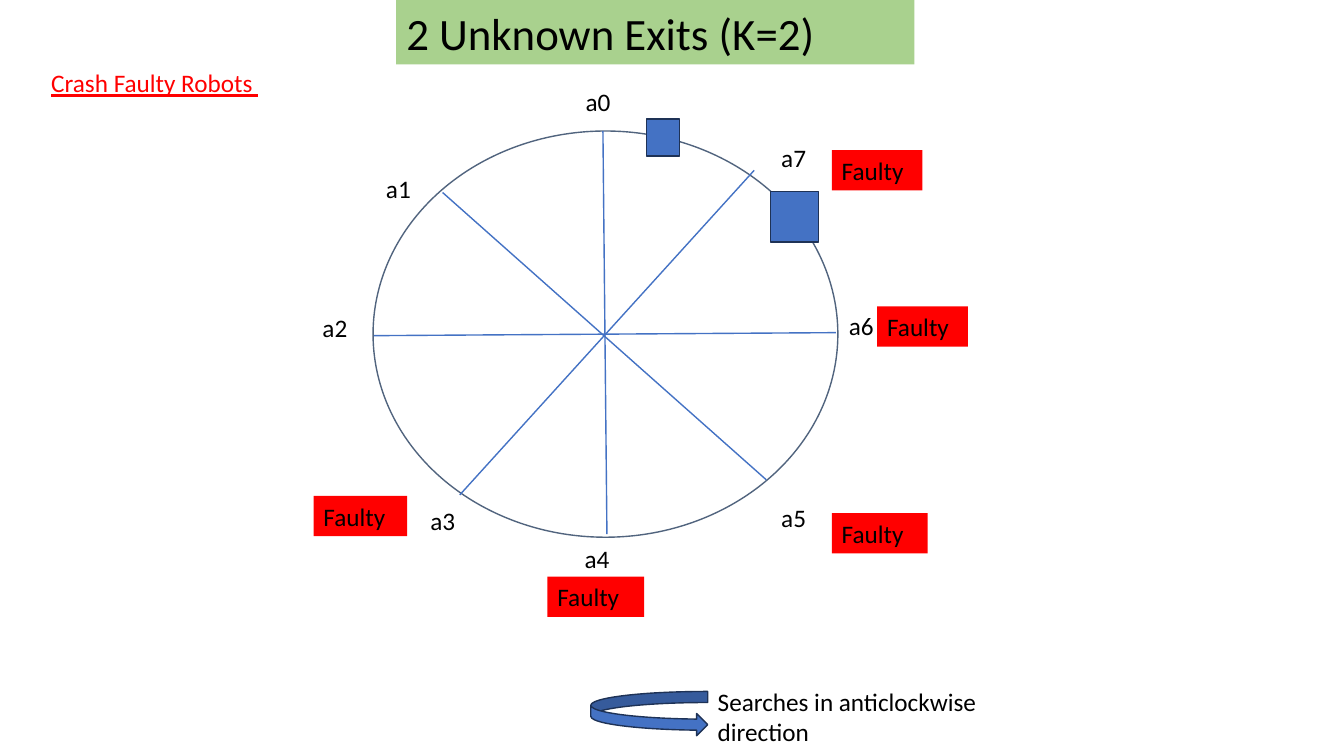
from lxml import etree
from pptx import Presentation
from pptx import util as u
from pptx.dml import color
from pptx.enum import shapes, text
from pptx.oxml import ns

COLORS = {
    "black": "000000", "white": "FFFFFF", "red": "FF0000", "green": "A9D18E",
    "blue": "4472C4", "navy": "1E3256", "slate": "51647E",
}
SPOKES = [
    (2.28, 0, 2.32, 4), (0.01, 2.03, 4.59, 2),
    (0.86, 3.61, 3.78, 0.39), (0.69, 0.61, 3.9, 3.46),
]
EXITS = [(2.71, -0.12, 0.33, 0.37), (3.94, 0.6, 0.48, 0.5)]
ROBOTS = [
    (2.01, -0.49), (0.03, 0.37), (-0.6, 1.75), (0.47, 3.66),
    (2, 4.04), (3.95, 3.63), (4.62, 1.73), (3.95, 0.06),
]
FAULTY = [
    (4.55, 0.19, 0.9), (5, 1.74, 0.9), (4.55, 3.79, 0.95),
    (1.73, 4.42, 0.96), (-0.59, 3.62, 0.93),
]


def rgb(name):
    """Return the named colour."""
    return color.RGBColor.from_string(COLORS[name])


def inches(*values):
    """Convert numbers to lengths."""
    return [u.Inches(v) for v in values]


def write(sp, content, size=18, ink="black", underline=None,
          anchor=text.MSO_ANCHOR.TOP):
    """Put formatted, left-aligned text in a shape."""
    tf = sp.text_frame
    tf.word_wrap = True
    tf.auto_size = text.MSO_AUTO_SIZE.NONE
    tf.vertical_anchor = anchor
    tf.margin_left = tf.margin_right = u.Inches(0.1)
    tf.margin_top = tf.margin_bottom = u.Inches(0.05)
    p = tf.paragraphs[0]
    p.alignment = text.PP_ALIGN.LEFT
    r = p.add_run()
    r.text = content
    r.font.name = "Calibri"
    r.font.size = u.Pt(size)
    r.font.underline = underline
    r.font.color.rgb = rgb(ink)


def add_text(s, box, content, **style):
    """Add a text box."""
    write(s.shapes.add_textbox(*inches(*box)), content, **style)


def add_shape(s, kind, box, fill, line=None):
    """Add a flat preset shape."""
    sp = s.shapes.add_shape(kind, *inches(*box))
    sp.shadow.inherit = False
    sp.fill.solid()
    sp.fill.fore_color.rgb = rgb(fill)
    if line:
        sp.line.color.rgb = rgb(line)
        sp.line.width = u.Pt(1)
    else:
        sp.line.fill.background()
    return sp


def add_spoke(s, ends):
    """Add a straight line without a shadow."""
    sp = s.shapes.add_connector(shapes.MSO_CONNECTOR.STRAIGHT, *inches(*ends))
    sp.line.color.rgb = rgb("blue")
    sp.line.width = u.Pt(1)
    etree.SubElement(sp._element.spPr, ns.qn("a:effectLst"))


def add_heading(s, x, y, w, h):
    """Fill the title band and the subtitle to its left."""
    sp = s.shapes.title
    sp.left, sp.top, sp.width, sp.height = inches(x, y, w, h)
    sp.fill.solid()
    sp.fill.fore_color.rgb = rgb("green")
    write(sp, "2 Unknown Exits (K=2)", size=32, anchor=text.MSO_ANCHOR.MIDDLE)
    add_text(s, (x - 3.52, y + 0.62, 2.55, 0.4), "Crash Faulty Robots ",
             ink="red", underline=True)


def add_wheel(s, x, y, w, h):
    """Draw the circle with its spokes, exits, robots and faulty tags."""
    add_shape(s, shapes.MSO_SHAPE.OVAL, (x, y, w, h), "white", "slate")
    for x1, y1, x2, y2 in SPOKES:
        add_spoke(s, (x + x1, y + y1, x + x2, y + y2))
    for dx, dy, ew, eh in EXITS:
        add_shape(s, shapes.MSO_SHAPE.RECTANGLE, (x + dx, y + dy, ew, eh),
                  "blue", "navy")
    for i, (dx, dy) in enumerate(ROBOTS):
        add_text(s, (x + dx, y + dy, 0.6, 0.4), f"a{i}")
    for dx, dy, fw in FAULTY:
        sp = add_shape(s, shapes.MSO_SHAPE.RECTANGLE,
                       (x + dx, y + dy, fw, 0.4), "red")
        write(sp, "Faulty")


def add_legend(s, x, y, w, h):
    """Draw the arrow and its explanation."""
    arrow_w = 1.16
    add_shape(s, shapes.MSO_SHAPE.CURVED_RIGHT_ARROW,
              (x, y + 0.1, arrow_w, 0.44), "blue", "navy")
    add_text(s, (x + arrow_w, y, w - arrow_w, h),
             "Searches in anticlockwise direction")


def main():
    """Build and save the slide."""
    prs = Presentation()
    prs.slide_width, prs.slide_height = inches(13.33, 7.5)
    s = prs.slides.add_slide(prs.slide_layouts[5])
    add_heading(s, 3.93, 0, 5.14, 0.64)
    add_wheel(s, 3.7, 1.3, 4.61, 4.03)
    add_legend(s, 5.86, 6.76, 3.97, 0.73)
    prs.save("out.pptx")


if __name__ == "__main__":
    main()
